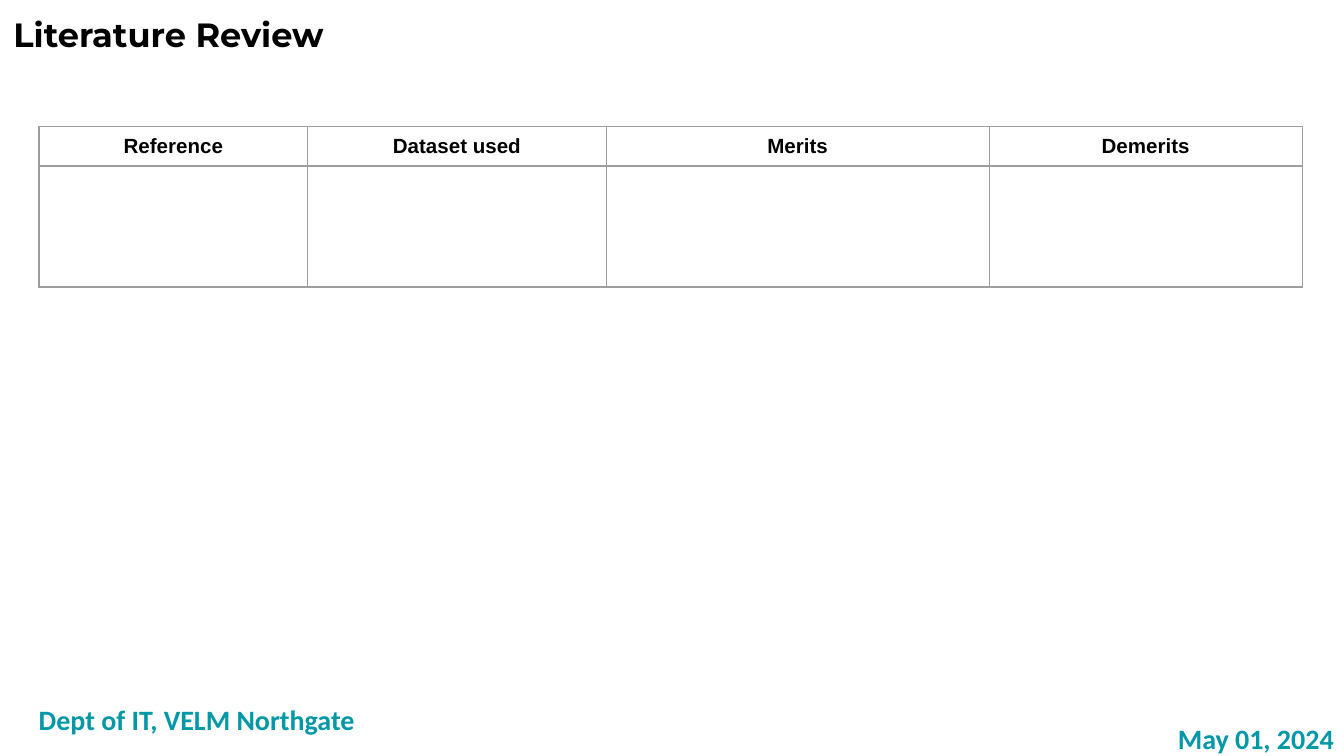
from dataclasses import dataclass

from lxml.etree import SubElement
from pptx import Presentation
from pptx.dml.color import RGBColor
from pptx.enum.text import MSO_ANCHOR, MSO_AUTO_SIZE, PP_ALIGN
from pptx.oxml.ns import qn
from pptx.util import Inches, Pt


@dataclass(frozen=True)
class Theme:
    ink: str = "000000"
    accent: str = "0097A7"
    border: str = "9E9E9E"
    paper: str = "FFFFFF"
    title_font: str = "Montserrat"
    table_font: str = "Arial"
    footer_font: str = "Calibri"
    title_size: float = 18
    table_size: float = 11
    footer_size: float = 15
    border_width: float = 0.75
    cell_margin: float = 4.5


THEME = Theme()
WIDTH = 10
HEIGHT = WIDTH * 9 / 16
HEADERS = ["Reference", "Dataset used", "Merits", "Demerits"]
COLUMN_WIDTHS = [2, 2.22, 2.85, 2.33]
ROW_HEIGHTS = [0.08, 0.9]


def style_paragraph(p, name, size, color, align):
    p.alignment = align
    p.font.name = name
    p.font.size = Pt(size)
    p.font.bold = True
    p.font.color.rgb = RGBColor.from_string(color)


def set_frame(tf, inset):
    tf.word_wrap = True
    tf.auto_size = MSO_AUTO_SIZE.NONE
    tf.vertical_anchor = MSO_ANCHOR.TOP
    tf.margin_left = tf.margin_right = Inches(inset)
    tf.margin_top = tf.margin_bottom = Inches(inset)


def add_title(s, text):
    sp = s.shapes.title
    sp.left, sp.top = 0, 0
    sp.width, sp.height = Inches(8.78), Inches(0.63)
    tf = sp.text_frame
    tf.text = text
    set_frame(tf, 0.1)
    style_paragraph(tf.paragraphs[0], THEME.title_font, THEME.title_size,
                    THEME.ink, PP_ALIGN.LEFT)


def add_footer(s, text, left, top, width, align):
    sp = s.shapes.add_textbox(Inches(left), Inches(top), Inches(width), Inches(0.45))
    tf = sp.text_frame
    tf.text = text
    set_frame(tf, 0.1)
    style_paragraph(tf.paragraphs[0], THEME.footer_font, THEME.footer_size,
                    THEME.accent, align)


def set_borders(cell):
    tcPr = cell._tc.get_or_add_tcPr()
    for side in ("lnL", "lnR", "lnT", "lnB"):
        ln = SubElement(tcPr, qn(f"a:{side}"), w=str(Pt(THEME.border_width)))
        fill = SubElement(ln, qn("a:solidFill"))
        SubElement(fill, qn("a:srgbClr"), val=THEME.border)


def format_cell(cell):
    cell.margin_left = cell.margin_right = Pt(THEME.cell_margin)
    cell.margin_top = cell.margin_bottom = Pt(THEME.cell_margin)
    set_borders(cell)
    cell.fill.background()
    style_paragraph(cell.text_frame.paragraphs[0], THEME.table_font,
                    THEME.table_size, THEME.ink, PP_ALIGN.CENTER)


def add_review_table(s, left, top):
    frame = s.shapes.add_table(
        len(ROW_HEIGHTS), len(HEADERS), Inches(left), Inches(top),
        Inches(sum(COLUMN_WIDTHS)), Inches(sum(ROW_HEIGHTS)))
    table = frame.table
    table.horz_banding = False
    for column, width in zip(table.columns, COLUMN_WIDTHS):
        column.width = Inches(width)
    for row, height in zip(table.rows, ROW_HEIGHTS):
        row.height = Inches(height)
    for cell, header in zip(table.rows[0].cells, HEADERS):
        cell.text = header
    for cell in table.iter_cells():
        format_cell(cell)


def main():
    prs = Presentation()
    prs.slide_width, prs.slide_height = Inches(WIDTH), Inches(HEIGHT)
    s = prs.slides.add_slide(prs.slide_layouts[5])
    s.background.fill.solid()
    s.background.fill.fore_color.rgb = RGBColor.from_string(THEME.paper)
    add_title(s, "Literature Review")
    add_footer(s, "Dept of IT, VELM Northgate", 0.19, 5.13, 3.33, PP_ALIGN.LEFT)
    add_review_table(s, 0.29, 0.94)
    add_footer(s, "May 01, 2024", 8.53, 5.27, 1.63, PP_ALIGN.CENTER)
    prs.save("out.pptx")


if __name__ == "__main__":
    main()
